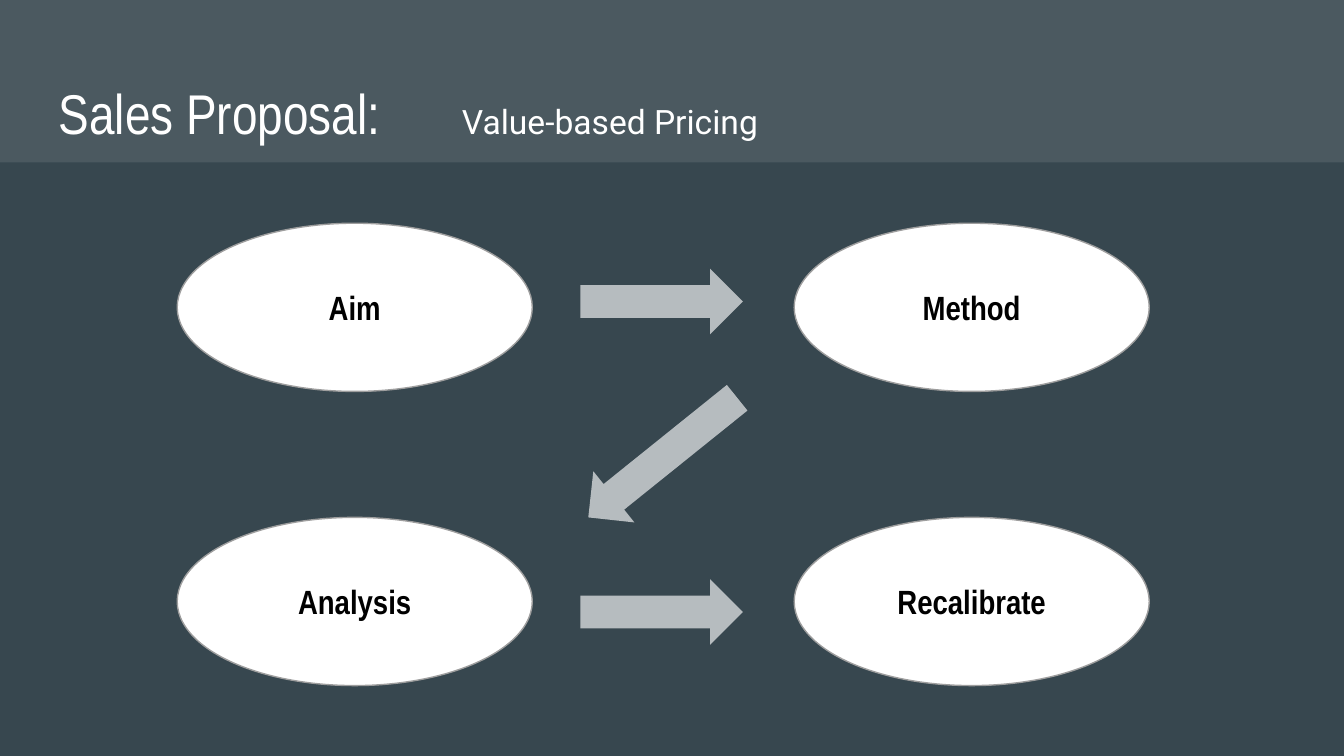
from lxml.etree import SubElement
from pptx import Presentation
from pptx.dml.color import RGBColor
from pptx.enum.shapes import MSO_SHAPE
from pptx.enum.text import MSO_ANCHOR, MSO_AUTO_SIZE, PP_ALIGN
from pptx.oxml.ns import qn
from pptx.util import Cm, Pt

SLATE = RGBColor(0x37, 0x47, 0x4F)
WHITE = RGBColor(0xFF, 0xFF, 0xFF)
BLACK = RGBColor(0, 0, 0)
GREY = RGBColor(0x9E, 0x9E, 0x9E)

SLIDE_WIDTH = 25.4
COLUMNS = (3.35, 15.01)
ROWS = (4.22, 9.78)
STEPS = (("Aim", "Method"), ("Analysis", "Recalibrate"))
ARROWS = (
    (10.97, 5.08, 3.07, 0),
    (10.97, 10.95, 3.07, 0),
    (10.72, 8.03, 3.61, 141.2),
)


def set_margins(text_frame):
    text_frame.margin_left = text_frame.margin_right = Cm(0.25)
    text_frame.margin_top = text_frame.margin_bottom = Cm(0.25)


def format_run(run, size, font_name, color, bold=False):
    run.font.size = Pt(size)
    run.font.name = font_name
    run.font.color.rgb = color
    run.font.bold = bold


def add_filled_shape(slide, preset, left, top, width, height, opacity=100):
    shape = slide.shapes.add_shape(preset, Cm(left), Cm(top), Cm(width), Cm(height))
    shape.shadow.inherit = False
    shape.fill.solid()
    shape.fill.fore_color.rgb = WHITE
    shape.line.fill.background()
    if opacity < 100:
        color = shape.element.spPr.find(qn("a:solidFill")).find(qn("a:srgbClr"))
        SubElement(color, qn("a:alpha"), val=str(opacity * 1000))
    return shape


def add_title(slide, heading, subject):
    title = slide.shapes.title
    title.left, title.top = Cm(0.86), Cm(1.24)
    title.width, title.height = Cm(23.67), Cm(1.6)
    text_frame = title.text_frame
    set_margins(text_frame)
    text_frame.auto_size = MSO_AUTO_SIZE.NONE
    text_frame.vertical_anchor = MSO_ANCHOR.TOP
    paragraph = text_frame.paragraphs[0]
    paragraph.text = f"{heading} \t"
    paragraph.alignment = PP_ALIGN.LEFT
    tab_list = SubElement(paragraph._p.get_or_add_pPr(), qn("a:tabLst"))
    SubElement(tab_list, qn("a:tab"), pos=str(Cm(7.62)), algn="l")
    paragraph.add_run().text = subject
    heading_run, subject_run = paragraph.runs
    format_run(heading_run, 30, "Arial Narrow", WHITE)
    format_run(subject_run, 18, "Roboto", WHITE)


def add_header_band(slide):
    band = add_filled_shape(slide, MSO_SHAPE.RECTANGLE, 0, 0, SLIDE_WIDTH, 3.07, 10)
    slide.shapes.title.element.addprevious(band.element)


def add_step(slide, label, left, top):
    step = add_filled_shape(slide, MSO_SHAPE.OVAL, left, top, 6.71, 3.18)
    step.line.color.rgb = GREY
    step.line.width = Pt(0.75)
    text_frame = step.text_frame
    set_margins(text_frame)
    text_frame.vertical_anchor = MSO_ANCHOR.MIDDLE
    text_frame.text = label
    paragraph = text_frame.paragraphs[0]
    paragraph.alignment = PP_ALIGN.CENTER
    format_run(paragraph.runs[0], 18, "Arial Narrow", BLACK, bold=True)


def add_arrow(slide, left, top, width, rotation):
    arrow = add_filled_shape(slide, MSO_SHAPE.RIGHT_ARROW, left, top, width, 1.24, 64)
    arrow.rotation = rotation


def main():
    presentation = Presentation()
    presentation.slide_width = Cm(SLIDE_WIDTH)
    presentation.slide_height = Cm(14.29)
    slide = presentation.slides.add_slide(presentation.slide_layouts[5])
    slide.background.fill.solid()
    slide.background.fill.fore_color.rgb = SLATE

    add_header_band(slide)
    add_title(slide, "Sales Proposal:", "Value-based Pricing")
    for top, labels in zip(ROWS, STEPS):
        for left, label in zip(COLUMNS, labels):
            add_step(slide, label, left, top)
    for arrow in ARROWS:
        add_arrow(slide, *arrow)

    presentation.save("out.pptx")


if __name__ == "__main__":
    main()
